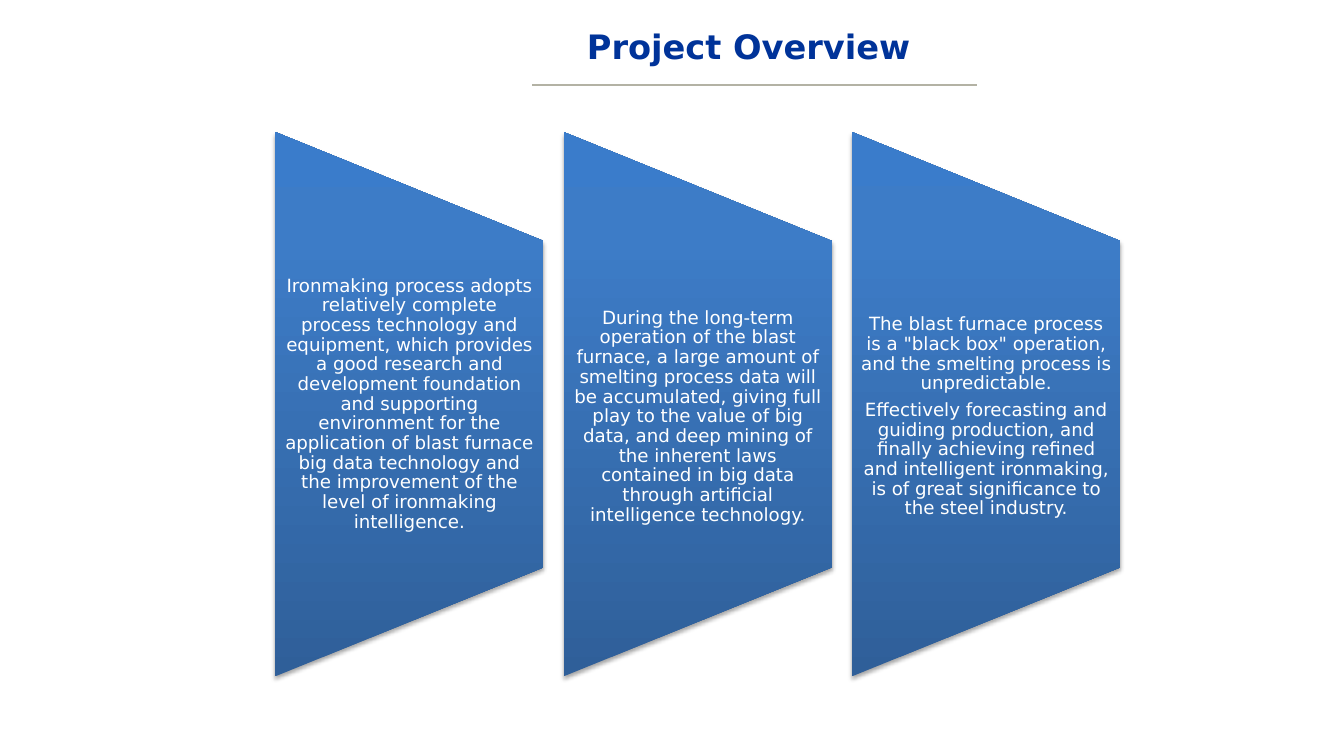
from pptx import Presentation
from pptx.dml.color import RGBColor
from pptx.enum.shapes import MSO_CONNECTOR, MSO_SHAPE
from pptx.enum.text import MSO_ANCHOR, PP_ALIGN
from pptx.oxml import parse_xml
from pptx.oxml.ns import nsdecls, qn
from pptx.util import Inches, Pt

FONT = "DejaVu Sans"
STOPS = [(0, "2F5F99"), (80, "3D7CC7"), (100, "3A7CCB")]
LEFT, TOP, WIDE, HIGH, STEP = 2.73, 1.31, 2.66, 5.4, 2.86
DROP = 0.25  # lowers the text of the second and third panels

# Each panel: extra top inset, paragraphs
PANELS = [
    (0, ["Ironmaking process adopts relatively complete process technology "
         "and equipment, which provides a good research and development "
         "foundation and supporting environment for the application of blast "
         "furnace big data technology and the improvement of the level of "
         "ironmaking intelligence."]),
    (DROP, ["During the long-term operation of the blast furnace, a large "
            "amount of smelting process data will be accumulated, giving full "
            "play to the value of big data, and deep mining of the inherent "
            "laws contained in big data through artificial intelligence "
            "technology."]),
    (DROP, ['The blast furnace process is a "black box" operation, and the '
            "smelting process is unpredictable.",
            "Effectively forecasting and guiding production, and finally "
            "achieving refined and intelligent ironmaking, is of great "
            "significance to the steel industry."]),
]


def color(code):
    return RGBColor.from_string(code)


def place(shape, x, y, w, h):
    shape.left, shape.top = Inches(x), Inches(y)
    shape.width, shape.height = Inches(w), Inches(h)


def inset(frame, left, top, right, bottom):
    frame.margin_left, frame.margin_top = Inches(left), Inches(top)
    frame.margin_right, frame.margin_bottom = Inches(right), Inches(bottom)


def style(para, size, code, bold=False):
    para.alignment = PP_ALIGN.CENTER
    font = para.font
    font.name, font.size, font.bold = FONT, Pt(size), bold
    font.color.rgb = color(code)


def shade(shape):
    """Give the shape a bottom-to-top gradient and a soft shadow below."""
    shape.fill.gradient()
    old = shape._element.spPr.find(qn("a:gradFill"))
    stops = "".join(
        f'<a:gs pos="{pos * 1000}"><a:srgbClr val="{code}"/></a:gs>'
        for pos, code in STOPS)
    old.getparent().replace(old, parse_xml(
        f'<a:gradFill {nsdecls("a")} rotWithShape="0"><a:gsLst>{stops}'
        '</a:gsLst><a:lin ang="16200000" scaled="0"/></a:gradFill>'))
    shape.line.fill.background()
    shape.shadow.inherit = False
    shape._element.spPr.find(qn("a:effectLst")).append(parse_xml(
        f'<a:outerShdw {nsdecls("a")} blurRad="{Pt(3.1)}" dist="{Pt(1.8)}" '
        'dir="5400000" rotWithShape="0"><a:srgbClr val="000000">'
        '<a:alpha val="35000"/></a:srgbClr></a:outerShdw>'))


def header(slide, x, y, w, h):
    title = slide.shapes.title
    place(title, x, y, w, h)
    frame = title.text_frame
    frame.text = "Project Overview"
    frame.vertical_anchor = MSO_ANCHOR.TOP
    inset(frame, 0.1, 0.05, 0.22, 0.05)
    style(frame.paragraphs[0], 24, "003399", True)

    base = Inches(y + h + 0.13)
    rule = slide.shapes.add_connector(
        MSO_CONNECTOR.STRAIGHT, Inches(x + 5.62), base, Inches(x + 1.21), base)
    rule.line.color.rgb = color("B3B2A4")
    rule.line.width = Pt(1.5)
    rule._element.spPr.append(parse_xml(f'<a:effectLst {nsdecls("a")}/>'))


def panel(slide, x, y, w, h, drop, texts):
    # The preset lies flat, so its box is the upright one turned on its centre
    turn = (h - w) / 2
    shape = slide.shapes.add_shape(
        MSO_SHAPE.FLOWCHART_MANUAL_OPERATION, Inches(x - turn),
        Inches(y + turn), Inches(h), Inches(w))
    shape.rotation = 270
    shade(shape)

    box = slide.shapes.add_textbox(
        Inches(x), Inches(y + h / 5), Inches(w), Inches(h * 3 / 5))
    frame = box.text_frame
    frame.word_wrap = True
    frame.vertical_anchor = MSO_ANCHOR.MIDDLE
    inset(frame, 0.09, drop, 0.09, 0)
    for i, text in enumerate(texts):
        para = frame.add_paragraph() if i else frame.paragraphs[0]
        para.text = text
        para.line_spacing = 0.9
        para.space_after = Pt(5)
        style(para, 13, "FFFFFF")


def main():
    deck = Presentation()
    deck.slide_width, deck.slide_height = Inches(13.33), Inches(7.5)
    slide = deck.slides.add_slide(deck.slide_layouts[5])
    header(slide, 4.07, 0.21, 6.83, 0.5)
    for i, (drop, texts) in enumerate(PANELS):
        panel(slide, LEFT + i * STEP, TOP, WIDE, HIGH, drop, texts)
    deck.save("out.pptx")


if __name__ == "__main__":
    main()
